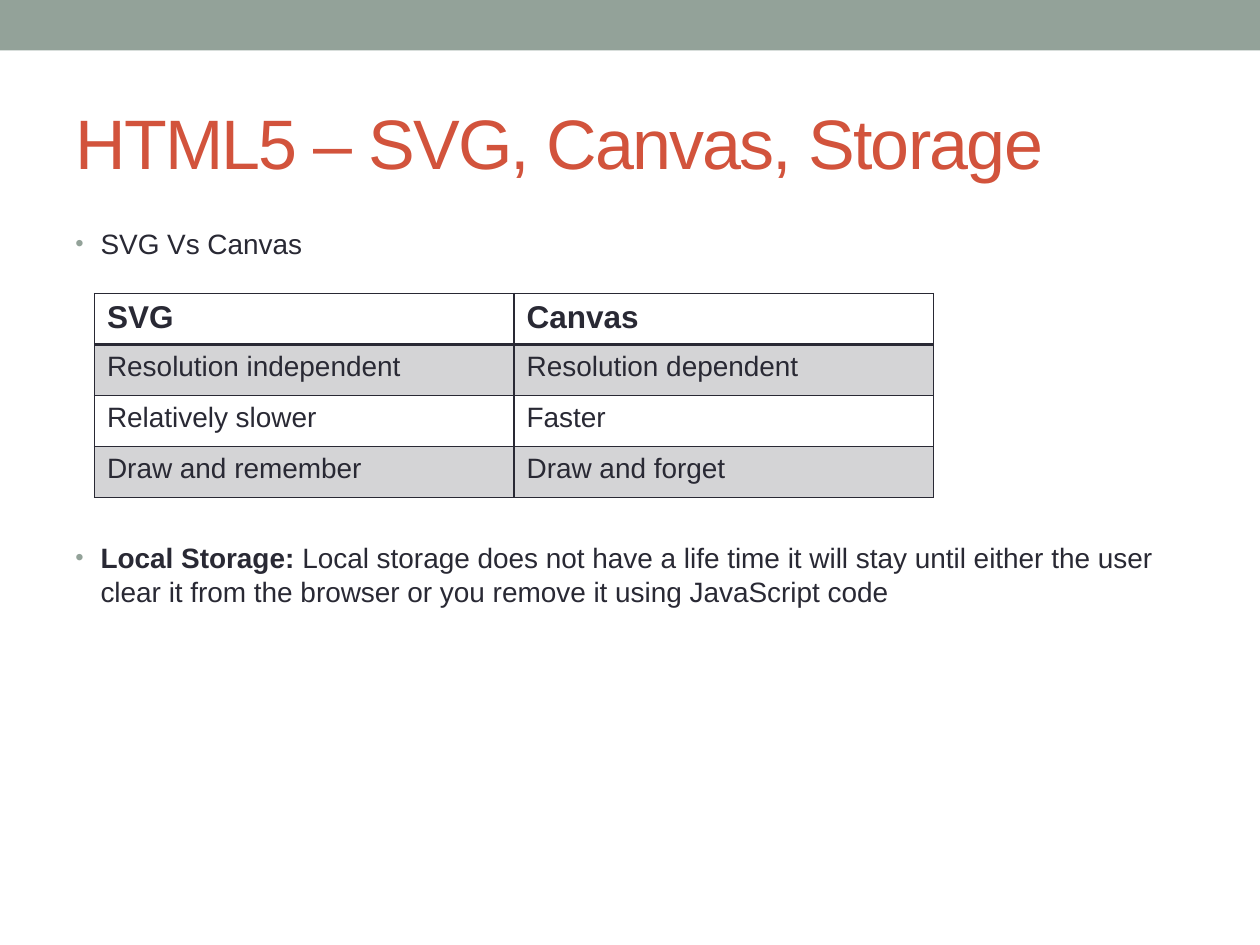
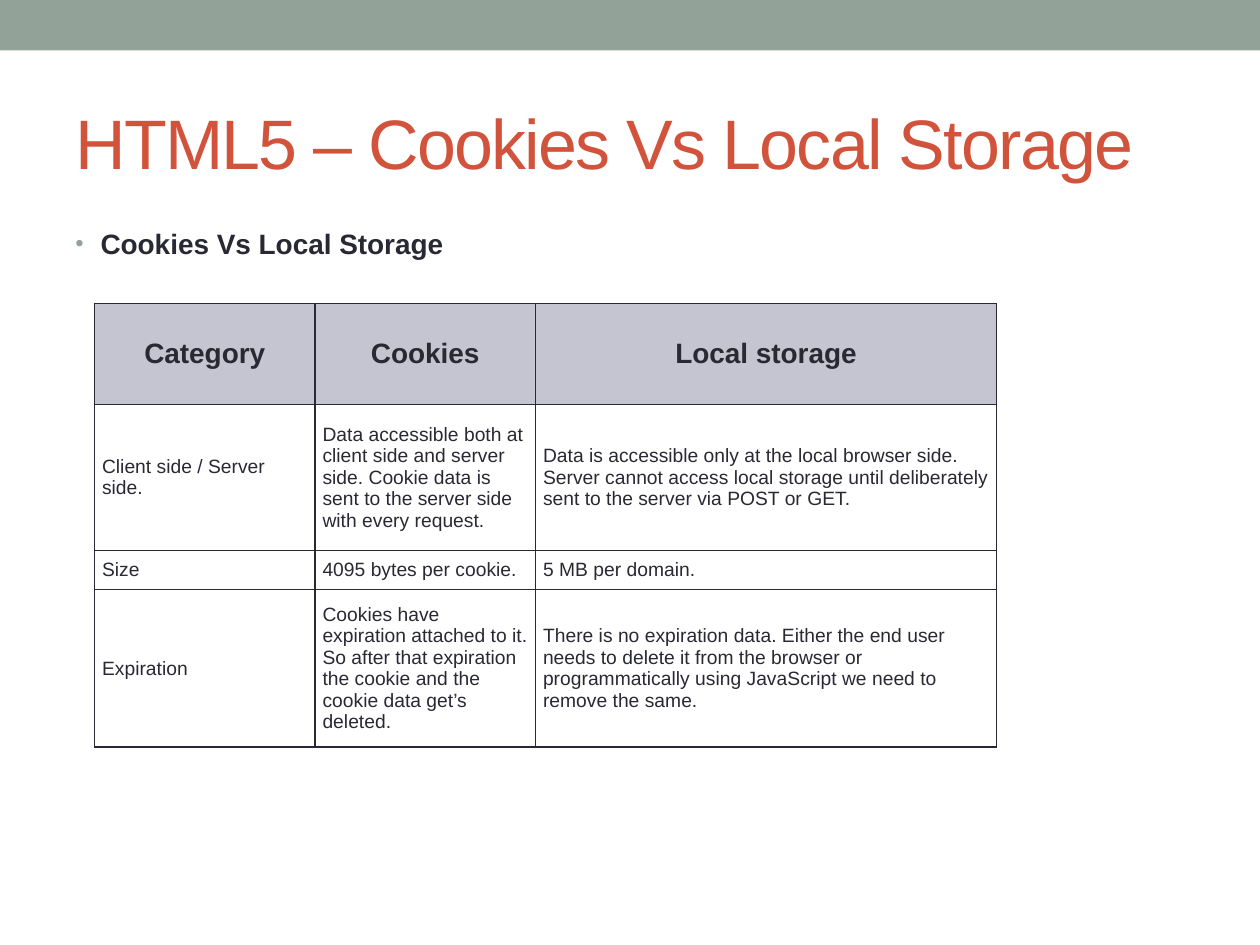
from dataclasses import dataclass

from lxml.etree import SubElement
from pptx import Presentation
from pptx.dml.color import RGBColor
from pptx.enum.shapes import MSO_SHAPE
from pptx.enum.text import MSO_ANCHOR, PP_ALIGN
from pptx.oxml.ns import qn
from pptx.util import Inches, Pt


@dataclass(frozen=True)
class Theme:
    font: str = "Arial"
    band: str = "93A299"
    title: str = "D2533C"
    ink: str = "292934"
    header_fill: str = "C5C5D1"
    title_size: int = 40
    heading_size: int = 18
    body_size: int = 16
    detail_size: int = 11


THEME = Theme()


@dataclass(frozen=True)
class TableStyle:
    header_size: int
    text_size: int
    header_fill: str = ""
    header_line: float = 1
    banded: bool = False
    header_align: PP_ALIGN = PP_ALIGN.LEFT
    anchor: MSO_ANCHOR = MSO_ANCHOR.TOP
    margin_x: float = 0.1
    margin_y: float = 0.05


FEATURE_STYLE = TableStyle(THEME.heading_size, THEME.body_size,
                           header_line=2, banded=True)
STORAGE_STYLE = TableStyle(THEME.body_size, THEME.detail_size,
                           header_fill=THEME.header_fill,
                           header_align=PP_ALIGN.CENTER,
                           anchor=MSO_ANCHOR.MIDDLE,
                           margin_x=0.06, margin_y=0.03)


def add_run(paragraph, text, size, color=THEME.ink, bold=False):
    run = paragraph.add_run()
    run.text = text
    run.font.name = THEME.font
    run.font.size = Pt(size)
    run.font.bold = bold
    run.font.color.rgb = RGBColor.from_string(color)
    return run


def add_text_frame(slide, left, top, width, height):
    text_box = slide.shapes.add_textbox(
        Inches(left), Inches(top), Inches(width), Inches(height))
    text_box.text_frame.word_wrap = True
    return text_box.text_frame


def add_titled_slide(presentation, title):
    slide = presentation.slides.add_slide(presentation.slide_layouts[6])
    # Top band
    band = slide.shapes.add_shape(
        MSO_SHAPE.RECTANGLE, 0, 0, presentation.slide_width, Inches(0.4))
    band.shadow.inherit = False
    band.fill.solid()
    band.fill.fore_color.rgb = RGBColor.from_string(THEME.band)
    band.line.fill.background()
    # Title
    frame = add_text_frame(slide, 0.5, 0.58, 9, 1.08)
    frame.vertical_anchor = MSO_ANCHOR.MIDDLE
    run = add_run(frame.paragraphs[0], title, THEME.title_size, THEME.title)
    run.font._element.set("spc", "-100")
    return slide


def add_bullet(slide, top, height, *parts):
    """Each part is a (text, bold) pair."""
    paragraph = add_text_frame(slide, 0.5, top, 9, height).paragraphs[0]
    properties = paragraph._p.get_or_add_pPr()
    properties.set("marL", str(Inches(0.2)))
    properties.set("indent", str(-Inches(0.2)))
    color = SubElement(properties, qn("a:buClr"))
    SubElement(color, qn("a:srgbClr"), val=THEME.band)
    SubElement(properties, qn("a:buSzPct"), val="85000")
    SubElement(properties, qn("a:buFont"), typeface=THEME.font)
    SubElement(properties, qn("a:buChar"), char="•")
    for text, bold in parts:
        add_run(paragraph, text, THEME.body_size, bold=bold)


def set_borders(cell, top=1, bottom=1):
    properties = cell._tc.get_or_add_tcPr()
    for side, width in (("L", 1), ("R", 1), ("T", top), ("B", bottom)):
        line = SubElement(properties, qn(f"a:ln{side}"), w=str(Pt(width)))
        fill = SubElement(line, qn("a:solidFill"))
        SubElement(fill, qn("a:srgbClr"), val=THEME.ink)


def fill_cell(cell, color, opacity=100):
    if not color:
        cell.fill.background()
        return
    cell.fill.solid()
    cell.fill.fore_color.rgb = RGBColor.from_string(color)
    if opacity < 100:
        color_element = cell._tc.tcPr.find(qn("a:solidFill"))[0]
        SubElement(color_element, qn("a:alpha"), val=str(opacity * 1000))


def format_cell(cell, text, row, style):
    is_header = row == 0
    cell.vertical_anchor = style.anchor
    cell.margin_left = cell.margin_right = Inches(style.margin_x)
    cell.margin_top = cell.margin_bottom = Inches(style.margin_y)
    # Borders come before the fill in the cell properties
    set_borders(cell, top=style.header_line if row == 1 else 1,
                bottom=style.header_line if is_header else 1)
    if is_header:
        fill_cell(cell, style.header_fill)
    else:
        fill_cell(cell, THEME.ink if style.banded and row % 2 else "", 20)
    paragraph = cell.text_frame.paragraphs[0]
    paragraph.alignment = style.header_align if is_header else PP_ALIGN.LEFT
    size = style.header_size if is_header else style.text_size
    add_run(paragraph, text, size, bold=is_header)


def add_comparison_table(slide, top, column_widths, row_heights, rows, style):
    table = slide.shapes.add_table(
        len(rows), len(column_widths), Inches(0.75), Inches(top),
        Inches(sum(column_widths)), Inches(sum(row_heights))).table
    table.first_row = table.horz_banding = False
    for column, width in zip(table.columns, column_widths):
        column.width = Inches(width)
    for row, height in zip(table.rows, row_heights):
        row.height = Inches(height)
    for row_index, texts in enumerate(rows):
        for column_index, text in enumerate(texts):
            format_cell(table.cell(row_index, column_index), text,
                        row_index, style)


def build_svg_canvas_slide(presentation):
    slide = add_titled_slide(presentation, "HTML5 – SVG, Canvas, Storage")
    add_bullet(slide, 1.75, 0.4, ("SVG Vs Canvas", False))
    rows = [
        ("SVG", "Canvas"),
        ("Resolution independent", "Resolution dependent"),
        ("Relatively slower", "Faster"),
        ("Draw and remember", "Draw and forget"),
    ]
    add_comparison_table(slide, 2.33, [3.33] * 2, [1.62 / len(rows)] * len(rows),
                         rows, FEATURE_STYLE)
    add_bullet(
        slide, 4.24, 0.65, ("Local Storage: ", True),
        ("Local storage does not have a life time it will stay until either "
         "the user clear it from the browser or you remove it using "
         "JavaScript code", False))


def build_cookies_slide(presentation):
    slide = add_titled_slide(presentation, "HTML5 – Cookies Vs Local Storage")
    add_bullet(slide, 1.75, 0.4, ("Cookies Vs Local Storage", True))
    rows = [
        ("Category", "Cookies", "Local storage"),
        ("Client side / Server side.",
         "Data accessible both at client side and server side. Cookie data is "
         "sent to the server side with every request.",
         "Data is accessible only at the local browser side. Server cannot "
         "access local storage until deliberately sent to the server via "
         "POST or GET."),
        ("Size", "4095 bytes per cookie.", "5 MB per domain."),
        ("Expiration",
         "Cookies have expiration attached to it. So after that expiration "
         "the cookie and the cookie data get’s deleted.",
         "There is no expiration data. Either the end user needs to delete it "
         "from the browser or programmatically using JavaScript we need to "
         "remove the same."),
    ]
    add_comparison_table(slide, 2.41, [1.75, 1.75, 3.66],
                         [0.8, 1.16, 0.31, 1.25], rows, STORAGE_STYLE)


def main():
    presentation = Presentation()
    presentation.slide_width = Inches(10)
    presentation.slide_height = Inches(7.5)
    build_svg_canvas_slide(presentation)
    build_cookies_slide(presentation)
    presentation.save("out.pptx")


if __name__ == "__main__":
    main()
